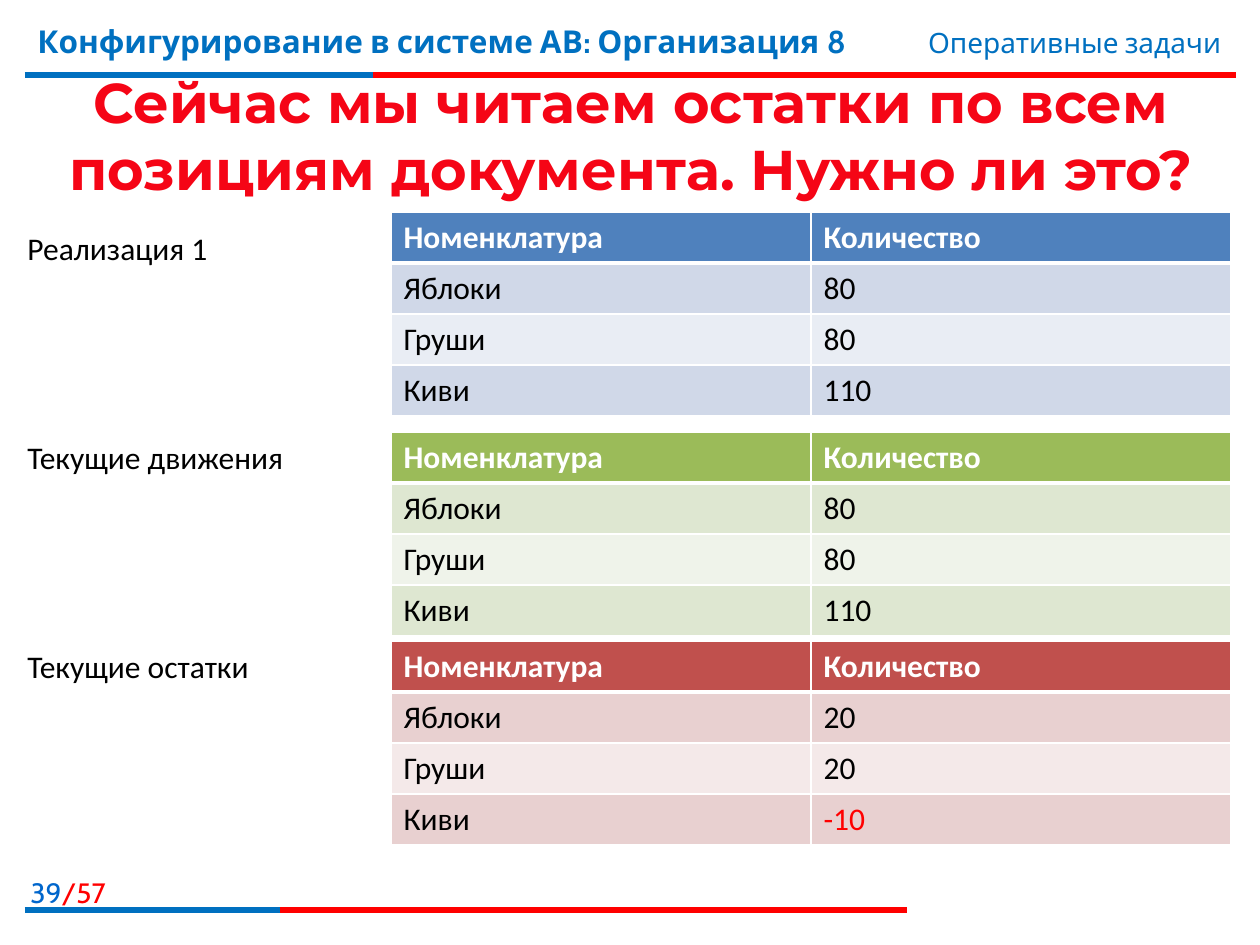
import dataclasses

import pptx
import pptx.dml.color
import pptx.enum.shapes
import pptx.enum.text
import pptx.oxml
import pptx.oxml.ns
import pptx.util

ALIGN = pptx.enum.text.PP_ALIGN
ANCHOR = pptx.enum.text.MSO_ANCHOR


@dataclasses.dataclass(frozen=True)
class Theme:
    blue: str = "0070C0"
    page: str = "0066CC"
    red: str = "FF0000"
    title: str = "F50516"
    white: str = "FFFFFF"
    black: str = "000000"
    head: str = "Cabin"
    bold: str = "Montserrat"
    body: str = "Calibri"
    big: int = 32
    mid: int = 18
    small: int = 16
    rule: int = 3
    thin: int = 1


def emu(px):
    return pptx.util.Emu(round(px * 914400 / 126))


def rgb(code):
    return pptx.dml.color.RGBColor.from_string(code)


def write(frame, text, *, font, size, color, bold=False, align=ALIGN.LEFT):
    """Add a run to the first paragraph of the frame."""
    para = frame.paragraphs[0]
    para.alignment = align
    run = para.add_run()
    run.text = text
    run.font.name = font
    run.font.size = pptx.util.Pt(size)
    run.font.bold = bold
    run.font.color.rgb = rgb(color)


def edge(cell, color, top, base):
    """Draw the four cell borders; top and base are widths in points."""
    props = cell._tc.get_or_add_tcPr()
    sides = {"lnL": 1, "lnR": 1, "lnT": top, "lnB": base}
    for spot, (tag, width) in enumerate(sides.items()):
        props.insert(spot, pptx.oxml.parse_xml(
            f'<a:{tag} {pptx.oxml.ns.nsdecls("a")} w="{pptx.util.Pt(width)}">'
            f'<a:solidFill><a:srgbClr val="{color}"/></a:solidFill></a:{tag}>'))


class Deck:
    """Holds the theme and the current slide."""

    def __init__(self, theme):
        self.theme = theme
        self.file = pptx.Presentation()
        self.file.slide_width = emu(1260)
        self.file.slide_height = emu(945)
        self.slide = self.file.slides.add_slide(self.file.slide_layouts[6])

    def box(self, x, y, w, h, anchor=ANCHOR.TOP):
        shape = self.slide.shapes.add_textbox(*map(emu, (x, y, w, h)))
        frame = shape.text_frame
        frame.word_wrap = True
        frame.vertical_anchor = anchor
        return frame

    def line(self, x, end, y, color):
        kind = pptx.enum.shapes.MSO_CONNECTOR.STRAIGHT
        rule = self.slide.shapes.add_connector(kind, emu(x), emu(y), emu(end), emu(y))
        rule.line.color.rgb = rgb(color)
        rule.line.width = pptx.util.Pt(self.theme.rule)
        rule._element.spPr.append(pptx.oxml.parse_xml(
            f'<a:effectLst {pptx.oxml.ns.nsdecls("a")}/>'))

    def table(self, x, y, rows, fills, wide=420, high=51):
        """fills: header colour, then the two band colours."""
        look = self.theme
        size = len(rows), len(rows[0])
        grid = self.slide.shapes.add_table(
            *size, emu(x), emu(y), emu(wide * size[1]), emu(high * size[0])).table
        grid.horz_banding = False
        for col in grid.columns:
            col.width = emu(wide)
        for r, row in enumerate(rows):
            grid.rows[r].height = emu(high)
            for c, text in enumerate(row):
                cell = grid.cell(r, c)
                cell.fill.solid()
                cell.fill.fore_color.rgb = rgb(fills[2 - r % 2 if r else 0])
                edge(cell, look.white,
                     look.rule if r == 1 else look.thin,
                     look.rule if r == 0 else look.thin)
                color = look.red if text.startswith("-") else look.black
                write(cell.text_frame, text, font=look.body, size=look.mid,
                      color=color if r else look.white, bold=r == 0)


# Label, label top, table top, amounts, fills (header, odd row, even row)
PARTS = [
    ("Реализация 1", 223, 212, ("80", "80", "110"), ("4F81BD", "D0D8E8", "E9EDF4")),
    ("Текущие движения", 432, 432, ("80", "80", "110"), ("9BBB59", "DEE7D1", "EFF3EA")),
    ("Текущие остатки", 641, 641, ("20", "20", "-10"), ("C0504D", "E8D0D0", "F4E9E9")),
]
ITEMS = ("Яблоки", "Груши", "Киви")


def main():
    look = Theme()
    deck = Deck(look)

    for y, split, end in ((75, 373, 1236), (910, 280, 907)):
        deck.line(25, end, y, look.red)
        deck.line(25, split, y, look.blue)

    write(deck.box(25, 16, 932, 78), "Конфигурирование в системе АВ: Организация 8",
          font=look.head, size=look.mid, color=look.blue, bold=True)
    write(deck.box(748, 19, 486, 47), "Оперативные задачи",
          font=look.head, size=look.small, color=look.blue, align=ALIGN.RIGHT)
    write(deck.box(26, 79, 1211, 112, ANCHOR.MIDDLE),
          "Сейчас мы читаем остатки по всем позициям документа. Нужно ли это?",
          font=look.bold, size=look.big, color=look.title, bold=True,
          align=ALIGN.CENTER)

    for label, top, y, sums, fills in PARTS:
        write(deck.box(15, top, 290, 50), label,
              font=look.body, size=look.mid, color=look.black)
        rows = [("Номенклатура", "Количество"), *zip(ITEMS, sums)]
        deck.table(391, y, rows, fills)

    page = deck.box(0, 869, 118, 40)
    for text, color in (("39", look.page), ("/57", look.red)):
        write(page, text, font=look.head, size=look.small, color=color,
              align=ALIGN.RIGHT)

    deck.file.save("out.pptx")


if __name__ == "__main__":
    main()
